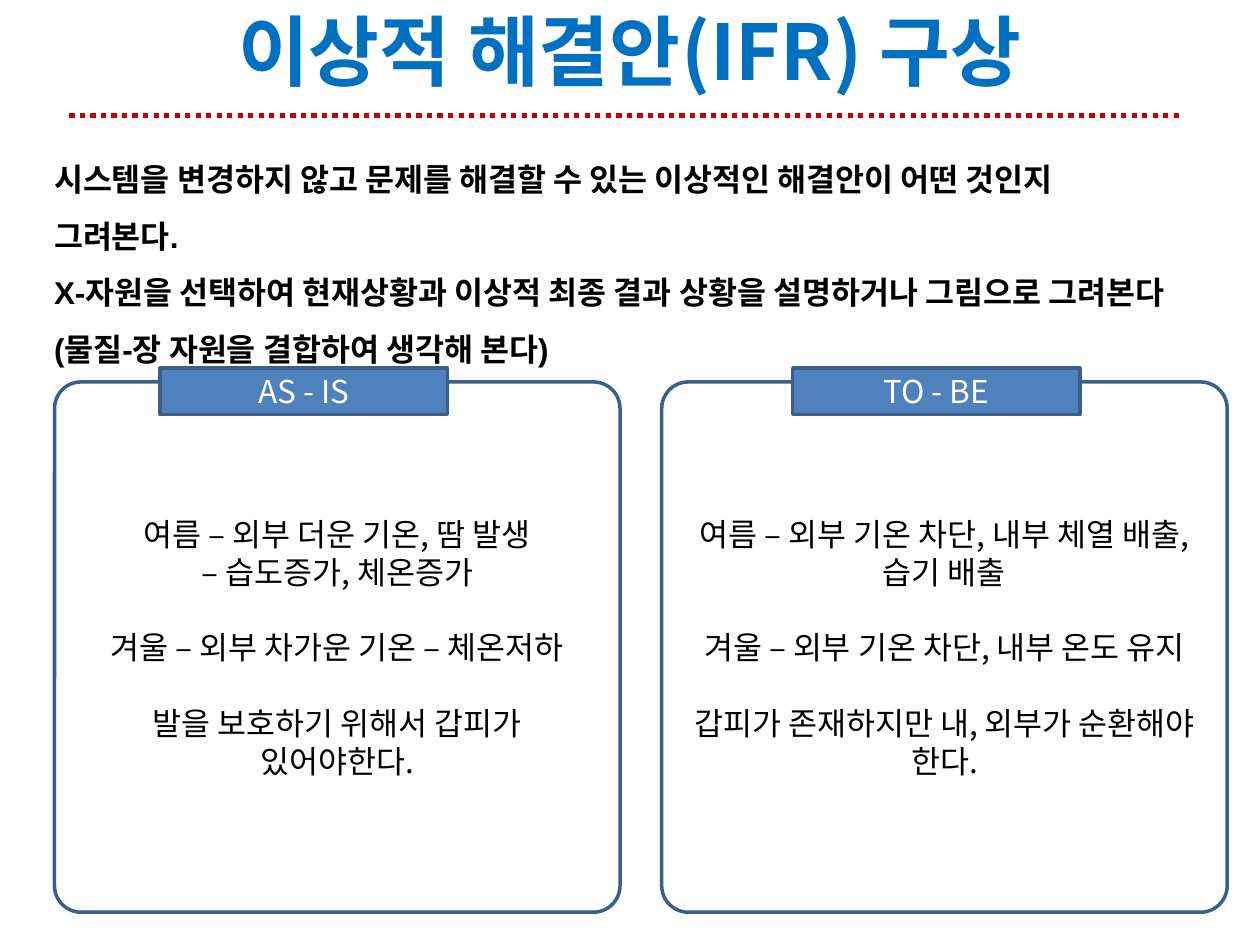
"""Builds the slide on the ideal final result, with its as-is and to-be panels."""
from dataclasses import dataclass

from pptx import Presentation
from pptx import util as u
from pptx.dml.color import RGBColor
from pptx.enum import dml, shapes, text
from pptx.oxml.ns import qn

NOTO = "Noto Sans CJK KR"
EDGE = "3A5F8C"
LINE = 21.6
MID = text.PP_ALIGN.CENTER


@dataclass
class Panel:
    """A titled panel; each group of lines is set apart by one line."""
    left: float
    tab: float
    name: str
    groups: list[list[str]]


PANELS = [
    Panel(1.1, 3.23, "AS - IS", [
        ["여름 – 외부 더운 기온, 땀 발생", "– 습도증가, 체온증가"],
        ["겨울 – 외부 차가운 기온 – 체온저하"],
        ["발을 보호하기 위해서 갑피가\v있어야한다."],
    ]),
    Panel(13.34, 15.98, "TO - BE", [
        ["여름 – 외부 기온 차단, 내부 체열 배출, 습기 배출"],
        ["겨울 – 외부 기온 차단, 내부 온도 유지"],
        ["갑피가 존재하지만 내, 외부가 순환해야 한다."],
    ]),
]
GUIDE = [
    "시스템을 변경하지 않고 문제를 해결할 수 있는 이상적인 해결안이 어떤 것인지\v그려본다.",
    "X-자원을 선택하여 현재상황과 이상적 최종 결과 상황을 설명하거나 그림으로 그려본다"
    "(물질-장 자원을 결합하여 생각해 본다)",
]


def tint(code: str) -> RGBColor:
    """Turn a hex string into a colour."""
    return RGBColor.from_string(code)


def style(para, size: float, code: str, face: str = NOTO, bold: bool = False) -> None:
    """Format all runs of a paragraph."""
    for run in para.runs:
        font = run.font
        font.size, font.bold = u.Pt(size), bold
        font.color.rgb = tint(code)
        font.name = face


def add_box(slide, kind, spot: tuple, fill: str, edge: str = EDGE):
    """Add a filled shape, outlined if an edge colour is given."""
    box = slide.shapes.add_shape(kind, *map(u.Cm, spot))
    box.shadow.inherit = False
    box.fill.solid()
    box.fill.fore_color.rgb = tint(fill)
    if edge:
        box.line.color.rgb = tint(edge)
        box.line.width = u.Pt(2)
    else:
        box.line.fill.background()
    box.text_frame.word_wrap = True
    box.text_frame.vertical_anchor = text.MSO_ANCHOR.MIDDLE
    return box


def add_label(box, words: str, size: float, code: str, bold: bool = False) -> None:
    """Write one centred line in a shape."""
    box.text_frame.text = words
    para = box.text_frame.paragraphs[0]
    para.alignment = MID
    style(para, size, code, bold=bold)


def add_rule(slide) -> None:
    """Add the dotted line below the title."""
    rule = slide.shapes.add_connector(
        shapes.MSO_CONNECTOR.STRAIGHT, *map(u.Cm, (1.4, 2.33, 23.83, 2.33)))
    rule.line.color.rgb = tint("C00000")
    rule.line.width = u.Pt(3)
    rule.line.dash_style = dml.MSO_LINE.ROUND_DOT
    props = rule._element.spPr
    props.append(props.makeelement(qn("a:effectLst"), {}))


def add_guide(slide) -> None:
    """Add the instructions above the panels."""
    spot = (0.84, 2.72, 23.37, 6.02)
    frame = slide.shapes.add_textbox(*map(u.Cm, spot)).text_frame
    frame.word_wrap = True
    frame.text = "\n".join(GUIDE)
    for para in frame.paragraphs:
        para.line_spacing = u.Pt(LINE * 1.5)
        style(para, 18, "000000", "Arial", True)


def add_panel(slide, panel: Panel) -> None:
    """Draw a panel and the tab on its top edge."""
    body = add_box(slide, shapes.MSO_SHAPE.ROUNDED_RECTANGLE,
                   (panel.left, 7.7, 11.4, 10.69), "FFFFFF")
    body.adjustments[0] = 0.05
    frame = body.text_frame
    frame.text = "\n".join(line for group in panel.groups for line in group)
    heads = [group[0] for group in panel.groups[1:]]
    for para in frame.paragraphs:
        para.alignment = MID
        para.line_spacing = u.Pt(LINE)
        para.space_before = u.Pt(LINE if para.text in heads else 0)
        style(para, 18, "000000")
    tab = add_box(slide, shapes.MSO_SHAPE.RECTANGLE,
                  (panel.tab, 7.42, 5.79, 0.94), "4F81BD")
    add_label(tab, panel.name, 18, "FFFFFF")


def main() -> None:
    """Build and save the slide."""
    deck = Presentation()
    deck.slide_width, deck.slide_height = u.Cm(25.4), u.Cm(19.05)
    slide = deck.slides.add_slide(deck.slide_layouts[6])
    title = add_box(slide, shapes.MSO_SHAPE.RECTANGLE,
                    (0, -0.2, 25.4, 2.39), "FFFFFF", "")
    add_label(title, "이상적 해결안(IFR) 구상", 44, "0070C0", True)
    add_rule(slide)
    add_guide(slide)
    for panel in PANELS:
        add_panel(slide, panel)
    deck.save("out.pptx")


if __name__ == "__main__":
    main()
